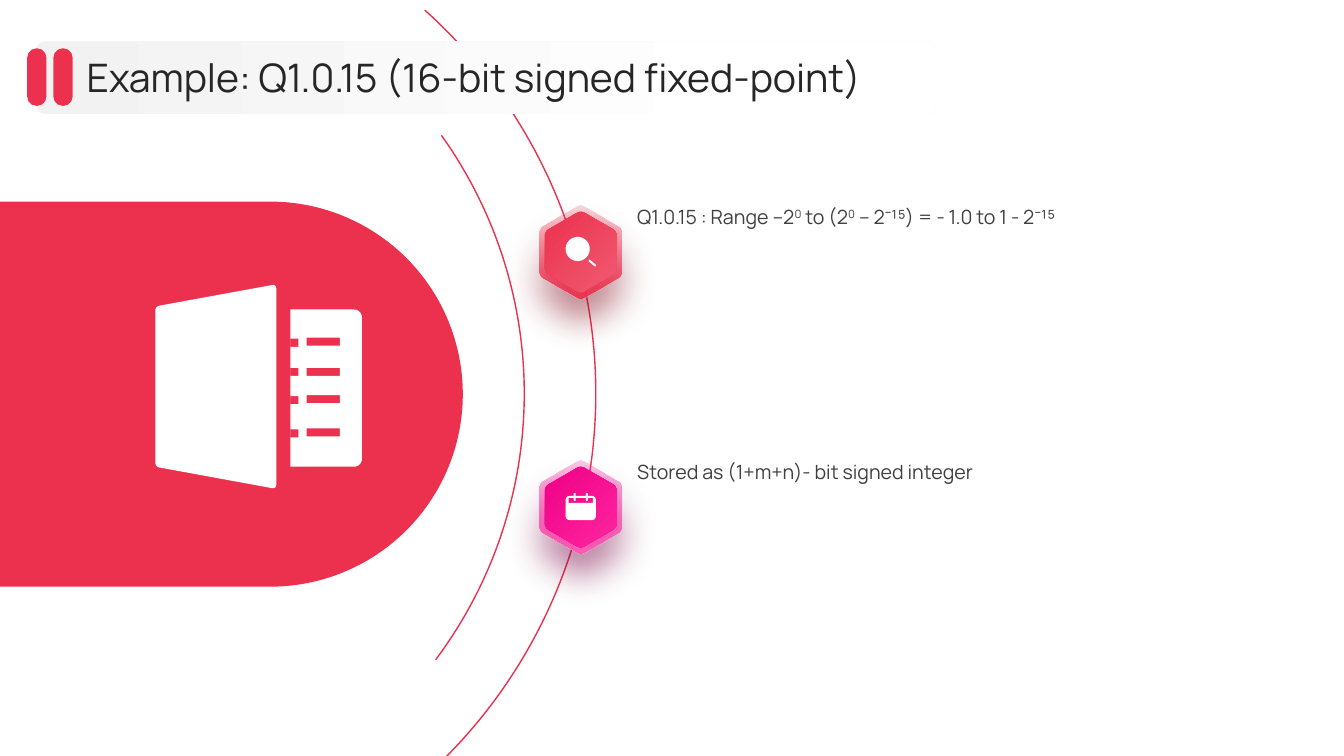
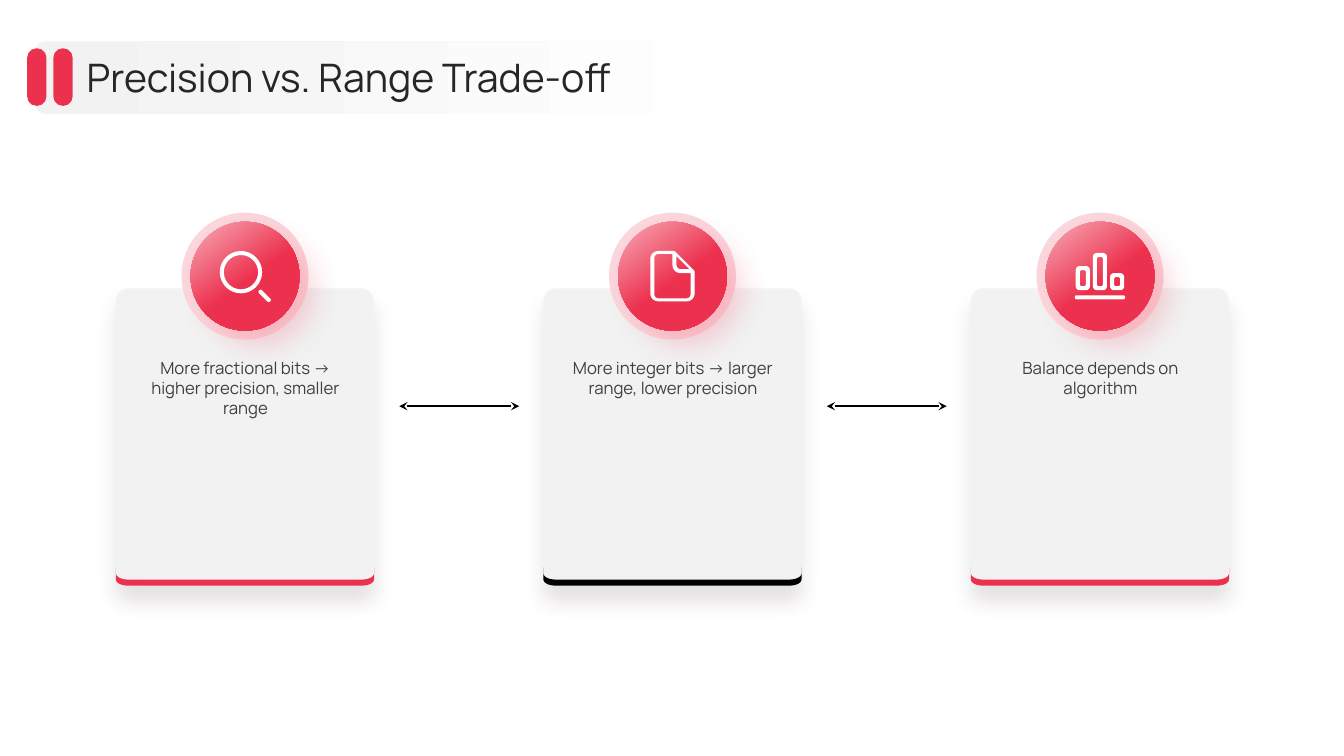
"""Build two slides on fixed-point number formats."""
from itertools import cycle
from math import cos, hypot, radians, sin

from lxml import etree
from pptx import Presentation
from pptx import util as u
from pptx.dml.color import RGBColor
from pptx.enum import shapes, text
from pptx.oxml.ns import qn

RED = RGBColor(0xEC, 0x31, 0x4E)
DEEP_RED = RGBColor(0xEC, 0x35, 0x52)
SOFT_RED = RGBColor(0xF0, 0x5A, 0x71)
ROSE = RGBColor(0xF7, 0xAD, 0xB8)
BLUSH = RGBColor(0xFB, 0xD6, 0xDC)
WINE = RGBColor(0x82, 0x0C, 0x1E)
MAGENTA = RGBColor(0xEF, 0x00, 0x86)
HOT_PINK = RGBColor(0xFF, 0x26, 0xA0)
PINK = RGBColor(0xFF, 0x5C, 0xB8)
PLUM = RGBColor(0x78, 0x00, 0x43)
WHITE = RGBColor(0xFF, 0xFF, 0xFF)
PALE = RGBColor(0xF2, 0xF2, 0xF2)
BODY = RGBColor(0x40, 0x40, 0x40)
HEADING = RGBColor(0x26, 0x26, 0x26)
BLACK = RGBColor(0, 0, 0)
FONT = "Manrope"
NO_INSETS = dict.fromkeys(("margin_left", "margin_top", "margin_right", "margin_bottom"), 0)


def set_values(target, values):
    """Set each named attribute of the target."""
    for name, value in values.items():
        setattr(target, name, value)


def rounded(corners, *radii):
    """Return the corners with each one rounded, cycling through the radii."""
    outline = []
    for i, (corner, radius) in enumerate(zip(corners, cycle(radii))):
        if not radius:
            outline.append(corner)
            continue
        ends = []
        for x, y in (corners[i - 1], corners[(i + 1) % len(corners)]):
            dx, dy = x - corner[0], y - corner[1]
            share = min(radius / hypot(dx, dy), 0.5)
            ends.append((dx * share, dy * share))
        (ax, ay), (bx, by) = ends
        for step in range(9):
            t = step / 8
            a = (1 - t) ** 3 + 1.35 * t * (1 - t) ** 2
            b = t ** 3 + 1.35 * t ** 2 * (1 - t)
            outline.append((corner[0] + a * ax + b * bx, corner[1] + a * ay + b * by))
    return outline


def box(left, top, right, bottom, *radii):
    """Return a rectangle, with optional corner radii from the top left."""
    return rounded([(left, top), (right, top), (right, bottom), (left, bottom)], *(radii or (0,)))


def disc(x, y, radius):
    """Return a circle."""
    return box(x - radius, y - radius, x + radius, y + radius, radius)


def capsule(x1, y1, x2, y2, width):
    """Return a round-ended stroke."""
    scale = width / 2 / hypot(x2 - x1, y2 - y1)
    nx, ny = (y1 - y2) * scale, (x2 - x1) * scale
    return rounded([(x1 + nx, y1 + ny), (x2 + nx, y2 + ny),
                    (x2 - nx, y2 - ny), (x1 - nx, y1 - ny)], width / 2)


def hexagon(radius):
    """Return an upright hexagon with softened corners."""
    return rounded([(radius * cos(radians(a)), radius * sin(radians(a)))
                    for a in range(-90, 270, 60)], 0.04)


MAGNIFIER = [disc(-0.03, -0.03, 0.12), capsule(0.08, 0.08, 0.15, 0.14, 0.02)]
CALENDAR = [box(-0.15, -0.11, 0.15, 0.13, 0.04), box(-0.12, -0.09, 0.12, -0.04)]
CALENDAR_RINGS = [capsule(x, -0.14, x, -0.06, 0.02) for x in (-0.06, 0.06)]
LEDGER = [
    rounded([(1.54, 3.04), (2.74, 2.82), (2.74, 4.85), (1.54, 4.63)], 0.04),
    box(2.88, 3.07, 3.59, 4.63, 0, 0.08, 0.08, 0),
    *(box(2.88, y, 2.96, y + 0.08) for y in (3.36, 3.65, 3.93, 4.26)),
    *(box(3.04, y, 3.37, y + 0.08) for y in (3.35, 3.65, 3.92, 4.25)),
]
LENS = [disc(-0.04, -0.04, 0.21), disc(-0.04, -0.04, 0.17),
        capsule(0.14, 0.14, 0.25, 0.25, 0.04)]
DOCUMENT = [
    rounded([(-0.22, -0.25), (0.02, -0.25), (0.22, -0.05), (0.22, 0.25), (-0.22, 0.25)],
            0.08, 0.01, 0.01, 0.08, 0.08),
    rounded([(-0.18, -0.22), (0, -0.22), (0, -0.03), (0.18, -0.03), (0.18, 0.22), (-0.18, 0.22)],
            0.04, 0, 0.08, 0, 0.04, 0.04),
    rounded([(0.04, -0.2), (0.17, -0.07), (0.04, -0.07)], 0, 0, 0.04),
]
BARS = [capsule(-0.25, 0.21, 0.25, 0.21, 0.04)]
for bar_left, bar_top in ((-0.24, -0.1), (-0.07, -0.23), (0.1, -0.03)):
    BARS += [box(bar_left + d, bar_top + d, bar_left + 0.14 - d, 0.14 - d, 0.04 - d / 2)
             for d in (0, 0.04)]


class Deck:
    """Hold the shared style and the current slide."""

    def __init__(self):
        """Start a widescreen presentation."""
        self.prs = Presentation()
        set_values(self.prs, {"slide_width": u.Inches(13.33), "slide_height": u.Inches(7.5)})
        self.slide = None

    def new_slide(self):
        """Add a title-only slide."""
        self.slide = self.prs.slides.add_slide(self.prs.slide_layouts[5])

    def paint(self, shape, fill, shadow=None):
        """Fill with a colour or a gradient (angle, stops) and add any shadow."""
        shape.shadow.inherit = False
        shape.line.fill.background()
        if isinstance(fill, RGBColor):
            shape.fill.solid()
            shape.fill.fore_color.rgb = fill
        else:
            angle, stops = fill
            shape.fill.gradient()
            shape.fill.gradient_angle = -angle % 360
            for stop, (position, colour, *_) in zip(shape.fill.gradient_stops, stops):
                stop.position = position
                stop.color.rgb = colour
            colours = shape.element.spPr.iter(qn("a:srgbClr"))
            for node, (_, _, *alpha) in zip(colours, stops):
                for percent in alpha:
                    etree.SubElement(node, qn("a:alpha"), val=str(percent * 1000))
        if shadow:
            colour, alpha, blur, distance, angle = shadow
            effects = shape.element.spPr.find(qn("a:effectLst"))
            outer = etree.SubElement(effects, qn("a:outerShdw"), blurRad=str(u.Pt(blur)),
                                     dist=str(u.Pt(distance)), dir=str(angle * 60000),
                                     algn="ctr", rotWithShape="0")
            tint = etree.SubElement(outer, qn("a:srgbClr"), val=str(colour))
            etree.SubElement(tint, qn("a:alpha"), val=str(alpha * 1000))

    def preset(self, kind, place, fill, shadow=None, corner=None):
        """Add a filled preset shape."""
        shape = self.slide.shapes.add_shape(kind, *map(u.Inches, place))
        if corner is not None:
            shape.adjustments[0] = corner
        self.paint(shape, fill, shadow)

    def circle(self, x, y, radius, fill, shadow=None):
        """Add a circle about a centre."""
        place = (x - radius, y - radius, 2 * radius, 2 * radius)
        self.preset(shapes.MSO_SHAPE.OVAL, place, fill, shadow)

    def outline(self, contours, fill, origin=(0, 0), shadow=None):
        """Add one freeform made of closed contours; inner contours are holes."""
        builder = None
        for contour in contours:
            points = [(u.Inches(origin[0] + x), u.Inches(origin[1] + y)) for x, y in contour]
            if builder is None:
                builder = self.slide.shapes.build_freeform(*points[0])
            else:
                builder.move_to(*points[0])
            builder.add_line_segments(points[1:], close=True)
        self.paint(builder.convert_to_shape(), fill, shadow)

    def arc(self, place, start, end):
        """Add a thin red arc."""
        arc = self.slide.shapes.add_shape(shapes.MSO_SHAPE.ARC, *map(u.Inches, place))
        arc.adjustments[0], arc.adjustments[1] = start, end
        arc.shadow.inherit = False
        arc.fill.background()
        arc.line.color.rgb = RED
        arc.line.width = u.Pt(1)

    def arrow(self, left, right, y):
        """Add a two-headed horizontal arrow."""
        ends = map(u.Inches, (left, y, right, y))
        arrow = self.slide.shapes.add_connector(shapes.MSO_CONNECTOR.STRAIGHT, *ends)
        arrow.line.color.rgb = BLACK
        arrow.line.width = u.Pt(1.05)
        for end in ("a:headEnd", "a:tailEnd"):
            etree.SubElement(arrow.element.spPr.find(qn("a:ln")), qn(end), type="stealth")
        etree.SubElement(arrow.element.spPr, qn("a:effectLst"))

    def fill_text(self, frame, runs, size, colour, align=text.PP_ALIGN.LEFT, **frame_values):
        """Fill in one paragraph; every second run is superscript."""
        set_values(frame, {"word_wrap": True, "auto_size": text.MSO_AUTO_SIZE.NONE,
                           **frame_values})
        paragraph = frame.paragraphs[0]
        paragraph.alignment = align
        for i, words in enumerate(runs):
            run = paragraph.add_run()
            run.text = words
            set_values(run.font, {"name": FONT, "size": u.Pt(size)})
            run.font.color.rgb = colour
            if i % 2:
                run._r.get_or_add_rPr().set("baseline", "30000")

    def label(self, place, runs, size, **values):
        """Add body text."""
        label = self.slide.shapes.add_textbox(*map(u.Inches, place))
        self.fill_text(label.text_frame, runs, size, BODY, **values)

    def title(self, words):
        """Add the faded band, the title over it and the two red bars."""
        bar = shapes.MSO_SHAPE.ROUNDED_RECTANGLE
        self.preset(bar, (0.35, 0.41, 8.94, 0.72), (0, [(0, PALE), (0.8, WHITE)]), corner=0.14)
        title = self.slide.shapes.title
        sides = ("left", "top", "width", "height")
        set_values(title, dict(zip(sides, map(u.Inches, (0.86, 0.51, 11.67, 0.51)))))
        self.fill_text(title.text_frame, [words], 28, HEADING,
                       vertical_anchor=text.MSO_ANCHOR.MIDDLE, **NO_INSETS)
        self.slide.shapes.element.append(title.element)
        for left in (0.27, 0.53):
            self.preset(bar, (left, 0.48, 0.19, 0.57), RED, corner=0.48)

    def badge(self, y, dark, light, rim, shade, icon):
        """Add a hexagonal badge with its icon layers."""
        centre = (5.76, y)
        self.outline([hexagon(0.47)], (90, [(0, dark, 20), (1, rim)]), centre,
                     (shade, 65, 26, 16, 90))
        self.outline([hexagon(0.41)], (45, [(0, dark), (1, light)]), centre)
        for layer in icon:
            self.outline(layer, WHITE, centre)

    def card(self, left, words, icon, accent):
        """Add a card with a coloured foot, a round icon and its text."""
        right, bottom, middle = left + 2.56, 5.81, left + 1.28
        self.preset(shapes.MSO_SHAPE.ROUNDED_RECTANGLE, (left, 2.86, 2.56, 2.95), PALE,
                    (BLACK, 10, 15, 10, 90), 0.05)
        foot = rounded([(left, bottom - 0.12), (left, bottom), (right, bottom),
                        (right, bottom - 0.12)], 0, 0.12, 0.12, 0)
        inner = [(x, y - 0.06) for x, y in reversed(foot)]
        self.outline([foot + inner], accent, shadow=(WINE, 10, 15, 10, 90))
        centre = (middle, 2.74)
        self.circle(*centre, 0.63, BLUSH)
        self.circle(*centre, 0.54, (54, [(0, ROSE), (0.54, RED)]), (RED, 20, 20, 15, 45))
        self.outline(icon, WHITE, centre)
        self.label((left + 0.13, 3.5, 2.31, 2.11), [words], 12, align=text.PP_ALIGN.CENTER)


def main():
    """Build and save the slides."""
    deck = Deck()

    deck.new_slide()
    deck.arc((-4.32, -1.21, 10.23, 10.23), 187.17, 28.46)
    deck.arc((-3.61, -0.5, 8.81, 8.81), 194.66, 22.11)
    deck.preset(shapes.MSO_SHAPE.ROUNDED_RECTANGLE, (-2.5, 2, 7.09, 3.82), RED, corner=0.5)
    deck.outline(LEDGER, WHITE)
    facts = [
        (["Q1.0.15 : Range –2", "0", " to (2", "0", " – 2⁻¹⁵) = - 1.0 to 1 - 2⁻¹⁵"],
         (RED, SOFT_RED, DEEP_RED, WINE, [MAGNIFIER])),
        (["Stored as (1+m+n)- bit signed integer"],
         (MAGENTA, HOT_PINK, PINK, PLUM, [CALENDAR, CALENDAR_RINGS])),
    ]
    for row, (runs, look) in enumerate(facts):
        y = 2.5 + row * 2.53
        deck.badge(y, *look)
        deck.label((6.32, y - 0.47, 6.28, 2.14), runs, 14, **NO_INSETS)
    deck.title("Example: Q1.0.15 (16-bit signed fixed-point)")

    deck.new_slide()
    cards = [
        ("More fractional bits → higher precision, smaller range", LENS, RED),
        ("More integer bits → larger range, lower precision", DOCUMENT, BLACK),
        ("Balance depends on algorithm", BARS, RED),
    ]
    lefts = [1.15 + 4.24 * column for column in range(len(cards))]
    for left, card in zip(lefts, cards):
        deck.card(left, *card)
    for left in lefts[:-1]:
        deck.arrow(left + 2.81, left + 4, 4.03)
    deck.title("Precision vs. Range Trade-off")

    deck.prs.save("out.pptx")


if __name__ == "__main__":
    main()
